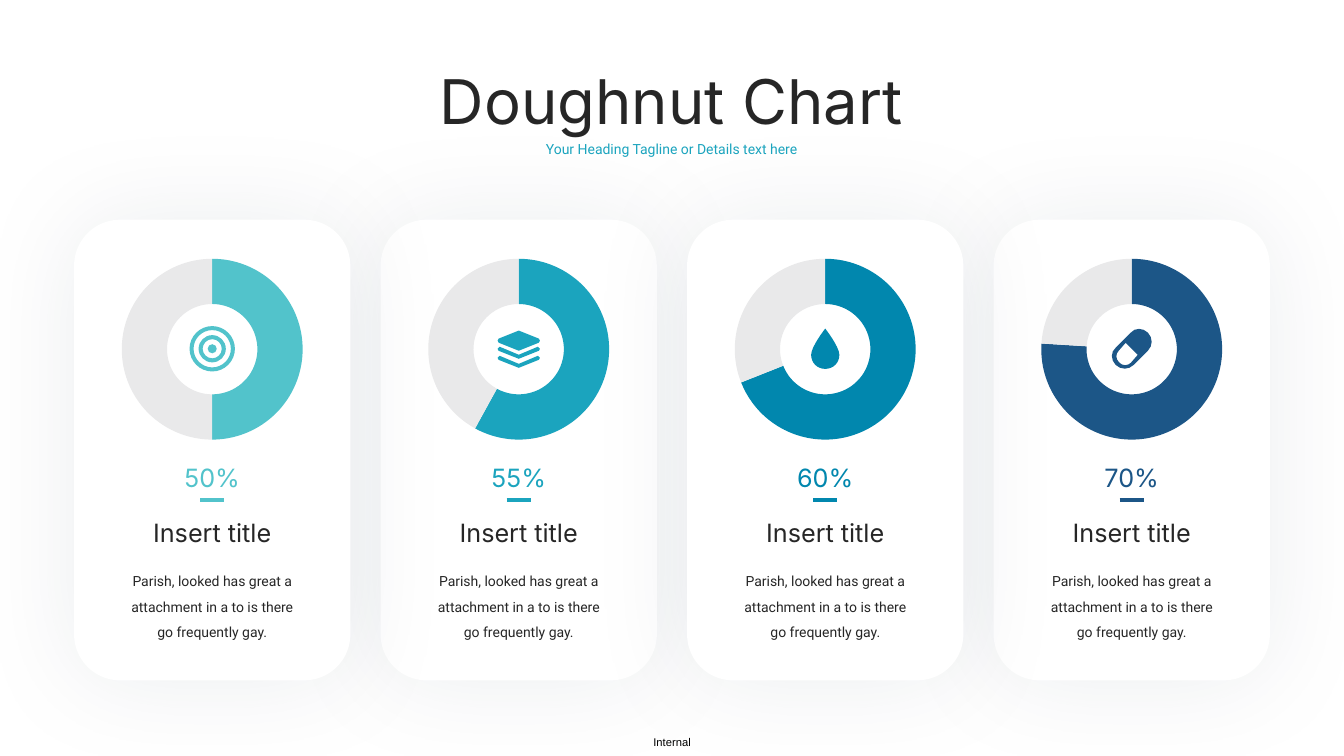
from dataclasses import dataclass

from lxml import etree
from pptx import Presentation
from pptx.chart.data import CategoryChartData
from pptx.dml.color import RGBColor
from pptx.enum.chart import XL_CHART_TYPE
from pptx.enum.shapes import MSO_CONNECTOR, MSO_SHAPE
from pptx.enum.text import MSO_AUTO_SIZE, PP_ALIGN
from pptx.oxml import parse_xml
from pptx.oxml.ns import nsdecls, qn
from pptx.slide import Slide
from pptx.util import Inches, Pt

DOUGHNUT = XL_CHART_TYPE.DOUGHNUT
STRAIGHT = MSO_CONNECTOR.STRAIGHT
ROUNDED = MSO_SHAPE.ROUNDED_RECTANGLE
FIT_SHAPE = MSO_AUTO_SIZE.SHAPE_TO_FIT_TEXT
CENTER = PP_ALIGN.CENTER
LEFT = PP_ALIGN.LEFT

COLORS = {
    "white": "FFFFFF", "black": "000000", "ink": "262626", "rest": "E9E9EA",
    "shadow": "0E2B44", "aqua": "52C3CB", "teal": "1BA4BE",
    "blue": "0187AE", "navy": "1C5687",
}
SLIDE_WIDTH, SLIDE_HEIGHT = 13.33, 7.5
MIDDLE = SLIDE_WIDTH / 2
CARD_TOP, CARD_WIDTH, CARD_HEIGHT, CARD_PITCH = 2.18, 2.74, 4.57, 3.04
ICON_Y = 3.46
BODY = "Parish, looked has great a attachment in a to is there go frequently gay."

Point = tuple[float, float]
Contour = list[Point]  # a start, then three points for each Bezier curve


@dataclass
class Metric:
    label: str
    share: int
    color: str
    icon: list[Contour]


@dataclass
class TextStyle:
    font: str
    size: float
    color: str
    align: PP_ALIGN = CENTER
    spacing: float | None = None
    inset: bool = True
    wrap: bool = True


def rgb(name: str) -> RGBColor:
    return RGBColor.from_string(COLORS[name])


def line(*corners: Point) -> Contour:
    """Straight sides, each as a Bezier curve."""
    return [corner for corner in corners for _ in range(3)]


def circle(r: float) -> Contour:
    k = 0.55 * r
    return [(0, r), (-k, r), (-r, k), (-r, 0), (-r, -k), (-k, -r), (0, -r),
            (k, -r), (r, -k), (r, 0), (r, k), (k, r), (0, r)]


def target_icon() -> list[Contour]:
    return [circle(radius) for radius in (0.225, 0.185, 0.135, 0.095, 0.045)]


def layers_icon() -> list[Contour]:
    sheet = [(0, -0.18)] + line((0.2, -0.1), (0.21, -0.08), (0.2, -0.06),
                                (0, 0.02), (-0.2, -0.06), (-0.21, -0.08), (-0.2, -0.1))
    edge = [(-0.19, -0.02)] + line((0, 0.06), (0.19, -0.02), (0.21, 0), (0.2, 0.02),
                                   (0, 0.1), (-0.2, 0.02), (-0.21, 0))
    return [sheet, edge, [(x, y + 0.09) for x, y in edge]]


def drop_icon() -> list[Contour]:
    return [[(0, 0.2), (-0.08, 0.2), (-0.14, 0.14), (-0.14, 0.06),
             (-0.14, -0.02), (0, -0.2), (0, -0.2),
             (0, -0.2), (0.14, -0.02), (0.14, 0.06), (0.14, 0.14), (0.08, 0.2), (0, 0.2)]]


def pill_icon() -> list[Contour]:
    capsule = [(-0.16, 0.16), (-0.21, 0.11), (-0.21, 0.03), (-0.16, -0.01),
               *line((-0.01, -0.16)),
               (0.03, -0.21), (0.11, -0.21), (0.16, -0.16),
               (0.21, -0.11), (0.21, -0.03), (0.16, 0.02),
               *line((0.02, 0.16)),
               (-0.03, 0.21), (-0.11, 0.21), (-0.16, 0.16)]
    hollow = [(0.06, 0.06), *line((-0.06, -0.06), (-0.13, 0.02)),
              (-0.16, 0.05), (-0.16, 0.1), (-0.13, 0.13),
              *line((-0.12, 0.14)),
              (-0.09, 0.17), (-0.04, 0.17), (-0.01, 0.14)]
    return [capsule, hollow]


METRICS = [
    Metric("50%", 50, "aqua", target_icon()),
    Metric("55%", 58, "teal", layers_icon()),
    Metric("60%", 69, "blue", drop_icon()),
    Metric("70%", 76, "navy", pill_icon()),
]


def card_center(column: int) -> float:
    return MIDDLE + (column - (len(METRICS) - 1) / 2) * CARD_PITCH


def add_text(slide: Slide, text: str, center: float, top: float, width: float,
             height: float, style: TextStyle) -> None:
    frame = slide.shapes.add_textbox(Inches(center - width / 2), Inches(top),
                                     Inches(width), Inches(height)).text_frame
    frame.word_wrap = style.wrap
    frame.auto_size = FIT_SHAPE
    if not style.inset:
        frame.margin_left = frame.margin_right = 0
        frame.margin_top = frame.margin_bottom = 0
    paragraph = frame.paragraphs[0]
    paragraph.text = text
    paragraph.alignment = style.align
    paragraph.line_spacing = style.spacing
    paragraph.font.name = style.font
    paragraph.font.size = Pt(style.size)
    paragraph.font.color.rgb = rgb(style.color)


def add_card(slide: Slide, center: float) -> None:
    card = slide.shapes.add_shape(ROUNDED, Inches(center - CARD_WIDTH / 2), Inches(CARD_TOP),
                                  Inches(CARD_WIDTH), Inches(CARD_HEIGHT))
    card.fill.solid()
    card.fill.fore_color.rgb = rgb("white")
    card.line.fill.background()
    card._element.spPr.append(parse_xml(
        f'<a:effectLst {nsdecls("a")}><a:outerShdw blurRad="{Pt(75)}" dist="0" dir="0" '
        f'algn="ctr" rotWithShape="0"><a:srgbClr val="{COLORS["shadow"]}">'
        '<a:alpha val="7000"/></a:srgbClr></a:outerShdw></a:effectLst>'))


def add_doughnut(slide: Slide, metric: Metric, center: float) -> None:
    data = CategoryChartData(number_format="0")
    data.categories = ["1", "2"]
    data.add_series("Series 1", [metric.share, 100 - metric.share])
    chart = slide.shapes.add_chart(DOUGHNUT, Inches(center - 2.83 / 2), Inches(2.52),
                                   Inches(2.83), Inches(1.89), data).chart
    chart.has_legend = False
    chart.has_title = False
    chart.font.name = "Calibri"
    chart.font.size = Pt(10)
    chart.font.color.rgb = rgb("black")
    plot = chart.plots[0]
    plot.vary_by_categories = True
    for index, color in enumerate((metric.color, "rest")):
        slice_format = plot.series[0].points[index].format
        slice_format.fill.solid()
        slice_format.fill.fore_color.rgb = rgb(color)
        slice_format.line.fill.background()
    area = chart._chartSpace.chart.plotArea
    area.find(".//" + qn("c:holeSize")).set("val", "59")
    for layout in area.findall(qn("c:layout")):
        area.remove(layout)
    layout = parse_xml(f'<c:layout {nsdecls("c")}><c:manualLayout/></c:layout>')
    settings = {"layoutTarget": "inner", "xMode": "edge", "yMode": "edge",
                "x": "0.183", "y": "0.025", "w": "0.634", "h": "0.95"}
    for tag, value in settings.items():
        etree.SubElement(layout[0], qn(f"c:{tag}")).set("val", value)
    area.insert(0, layout)


def add_underline(slide: Slide, color: str, center: float) -> None:
    underline = slide.shapes.add_connector(STRAIGHT, Inches(center - 0.12), Inches(4.96),
                                           Inches(center + 0.12), Inches(4.96))
    underline.line.color.rgb = rgb(color)
    underline.line.width = Pt(2.25)
    etree.SubElement(underline._element.spPr, qn("a:effectLst"))


def add_icon(slide: Slide, metric: Metric, center: float) -> None:
    """Draw the icon's outline, joining each three points into one curve."""
    contours = [[(Inches(center + x), Inches(ICON_Y + y)) for x, y in contour]
                for contour in metric.icon]
    builder = slide.shapes.build_freeform(*contours[0][0])
    for index, contour in enumerate(contours):
        if index:
            builder.move_to(*contour[0])
        builder.add_line_segments(contour[1:], close=True)
    icon = builder.convert_to_shape()
    sides = list(icon._element.iter(qn("a:lnTo")))
    for first, second, third in zip(sides[::3], sides[1::3], sides[2::3]):
        curve = etree.Element(qn("a:cubicBezTo"))
        first.addprevious(curve)
        for side in (first, second, third):
            curve.append(side[0])
            side.getparent().remove(side)
    icon.shadow.inherit = False
    icon.fill.solid()
    icon.fill.fore_color.rgb = rgb(metric.color)
    icon.line.fill.background()


def main() -> None:
    presentation = Presentation()
    presentation.slide_width = Inches(SLIDE_WIDTH)
    presentation.slide_height = Inches(SLIDE_HEIGHT)
    slide = presentation.slides.add_slide(presentation.slide_layouts[6])
    add_text(slide, "Internal", 6.68, 7.3, 0.4, 0.13,
             TextStyle("Arial", 8, "black", LEFT, inset=False, wrap=False))
    for column in (1, 3, 0, 2):
        add_card(slide, card_center(column))
    add_text(slide, "Doughnut Chart", 6.66, 0.58, 5.81, 0.84, TextStyle("Inter", 44, "ink"))
    add_text(slide, "Your Heading Tagline or Details text here", 6.66, 1.34, 2.81, 0.27,
             TextStyle("Roboto", 10, "teal"))
    for column, metric in enumerate(METRICS):
        center = card_center(column)
        add_doughnut(slide, metric, center)
        add_text(slide, "Insert title", center, 5.08, 1.59, 0.4, TextStyle("Inter", 18, "ink"))
        add_text(slide, BODY, center, 5.55, 1.89, 0.83,
                 TextStyle("Roboto", 10, "ink", spacing=1.5))
        add_text(slide, metric.label, center, 4.54, 0.77, 0.4,
                 TextStyle("Inter", 18, metric.color))
        add_underline(slide, metric.color, center)
        add_icon(slide, metric, center)
    presentation.save("out.pptx")


if __name__ == "__main__":
    main()
